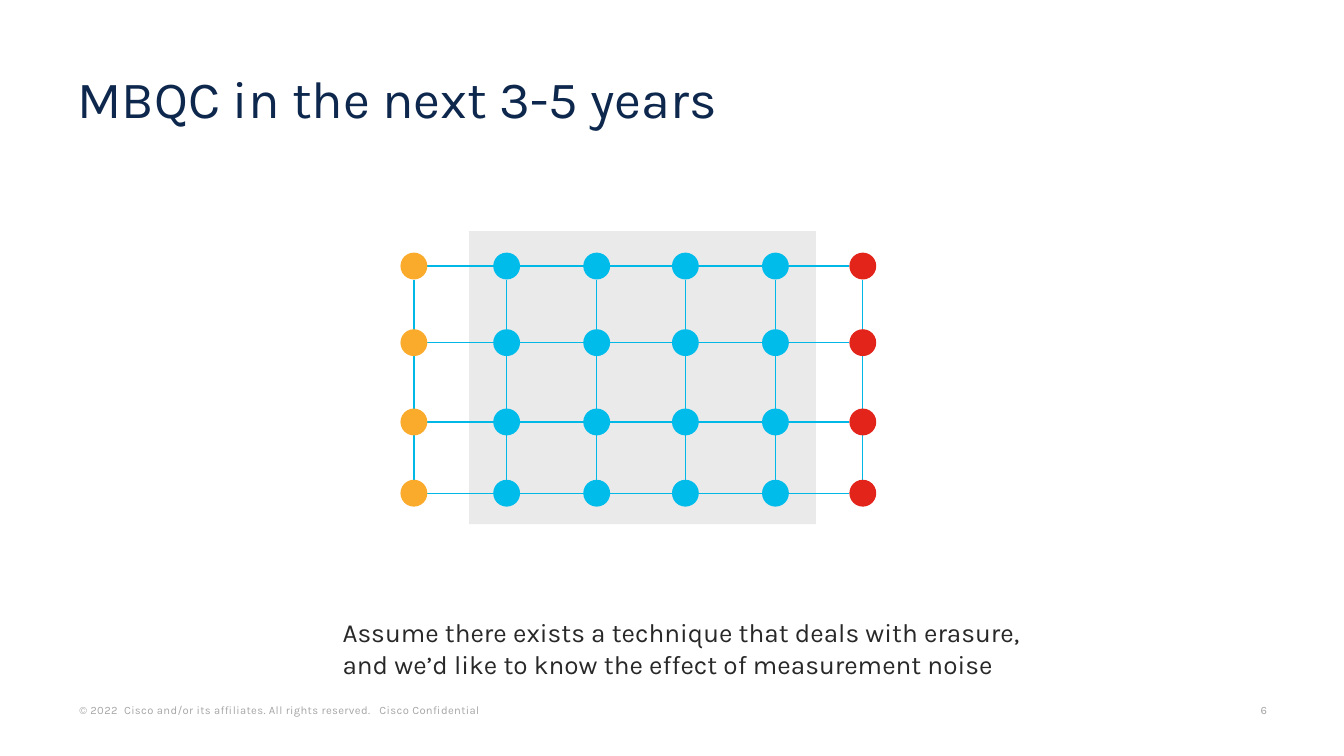
from lxml.etree import SubElement
from pptx import Presentation
from pptx.dml.color import RGBColor
from pptx.enum.shapes import MSO_CONNECTOR, MSO_SHAPE
from pptx.enum.text import MSO_ANCHOR
from pptx.oxml.ns import qn
from pptx.util import Inches, Pt

NAVY = RGBColor(0x0D, 0x27, 0x4D)
INK = RGBColor(0x28, 0x28, 0x28)
GREY = RGBColor(0xA6, 0xA6, 0xA6)
PANEL = RGBColor(0xEA, 0xEA, 0xEA)
BLUE = RGBColor(0x00, 0xBC, 0xEB)
EDGE = RGBColor(0x00, 0xB8, 0xE6)
RED = RGBColor(0xE3, 0x24, 0x1B)
ORANGE = RGBColor(0xFB, 0xAB, 0x2C)

COLUMNS = [(3.08, ORANGE), (3.77, BLUE), (4.44, BLUE),
           (5.1, BLUE), (5.77, BLUE), (6.42, RED)]
ROWS = [1.98, 2.55, 3.14, 3.67]
RADIUS = 0.1


class Canvas:
    """Hold the deck's style and draw elements on its current slide."""

    font = "Karla"
    line_width = Pt(0.75)

    def __init__(self, s):
        self.s = s

    def shape(self, kind, x, y, w, h, color):
        sp = self.s.shapes.add_shape(kind, Inches(x), Inches(y), Inches(w), Inches(h))
        sp.shadow.inherit = False
        sp.fill.solid()
        sp.fill.fore_color.rgb = color
        sp.line.fill.background()

    def node(self, x, y, color):
        self.shape(MSO_SHAPE.OVAL, x - RADIUS, y - RADIUS, 2 * RADIUS, 2 * RADIUS, color)

    def edge(self, x1, y1, x2, y2):
        c = self.s.shapes.add_connector(
            MSO_CONNECTOR.STRAIGHT, Inches(x1), Inches(y1), Inches(x2), Inches(y2))
        c.line.color.rgb = EDGE
        c.line.width = self.line_width
        SubElement(c._element.spPr, qn("a:effectLst"))

    def text(self, text, x, y, w, h, *, size, color, anchor=MSO_ANCHOR.TOP,
             inset=(0.1, 0.05), wrap=True, line_spacing=None, tracking=None):
        tf = self.s.shapes.add_textbox(Inches(x), Inches(y), Inches(w), Inches(h)).text_frame
        tf.word_wrap = wrap
        tf.vertical_anchor = anchor
        tf.margin_left = tf.margin_right = Inches(inset[0])
        tf.margin_top = tf.margin_bottom = Inches(inset[1])
        p = tf.paragraphs[0]
        p.line_spacing = line_spacing
        r = p.add_run()
        r.text = text
        r.font.name = self.font
        r.font.size = Pt(size)
        r.font.color.rgb = color
        if tracking:
            r._r.get_or_add_rPr().set("spc", str(round(tracking * 100)))


def main():
    prs = Presentation()
    prs.slide_width = Inches(10)
    prs.slide_height = prs.slide_width * 9 // 16
    canvas = Canvas(prs.slides.add_slide(prs.slide_layouts[6]))

    footer = dict(size=6, color=GREY, anchor=MSO_ANCHOR.BOTTOM,
                  inset=(0.07, 0.03), tracking=0.2)
    canvas.text("© 2022  Cisco and/or its affiliates. All rights reserved.   Cisco Confidential",
                0.52, 5.19, 3.72, 0.17, **footer)
    canvas.text("6", 9.31, 5.19, 0.24, 0.17, wrap=False, **footer)
    canvas.text("MBQC in the next 3-5 years", 0.48, 0.37, 9.13, 0.8,
                size=28, color=NAVY, anchor=MSO_ANCHOR.MIDDLE, line_spacing=0.8)

    canvas.shape(MSO_SHAPE.RECTANGLE, 3.49, 1.72, 2.58, 2.18, PANEL)
    for y in ROWS:
        canvas.edge(COLUMNS[0][0] + RADIUS, y, COLUMNS[-1][0] - RADIUS, y)
    for x, color in COLUMNS:
        canvas.edge(x, ROWS[0] + RADIUS, x, ROWS[-1] - RADIUS)
        for y in ROWS:
            canvas.node(x, y, color)

    canvas.text("Assume there exists a technique that deals with erasure, "
                "and we’d like to know the effect of measurement noise",
                2.45, 4.54, 5.29, 0.57, size=14, color=INK)
    prs.save("out.pptx")


if __name__ == "__main__":
    main()
